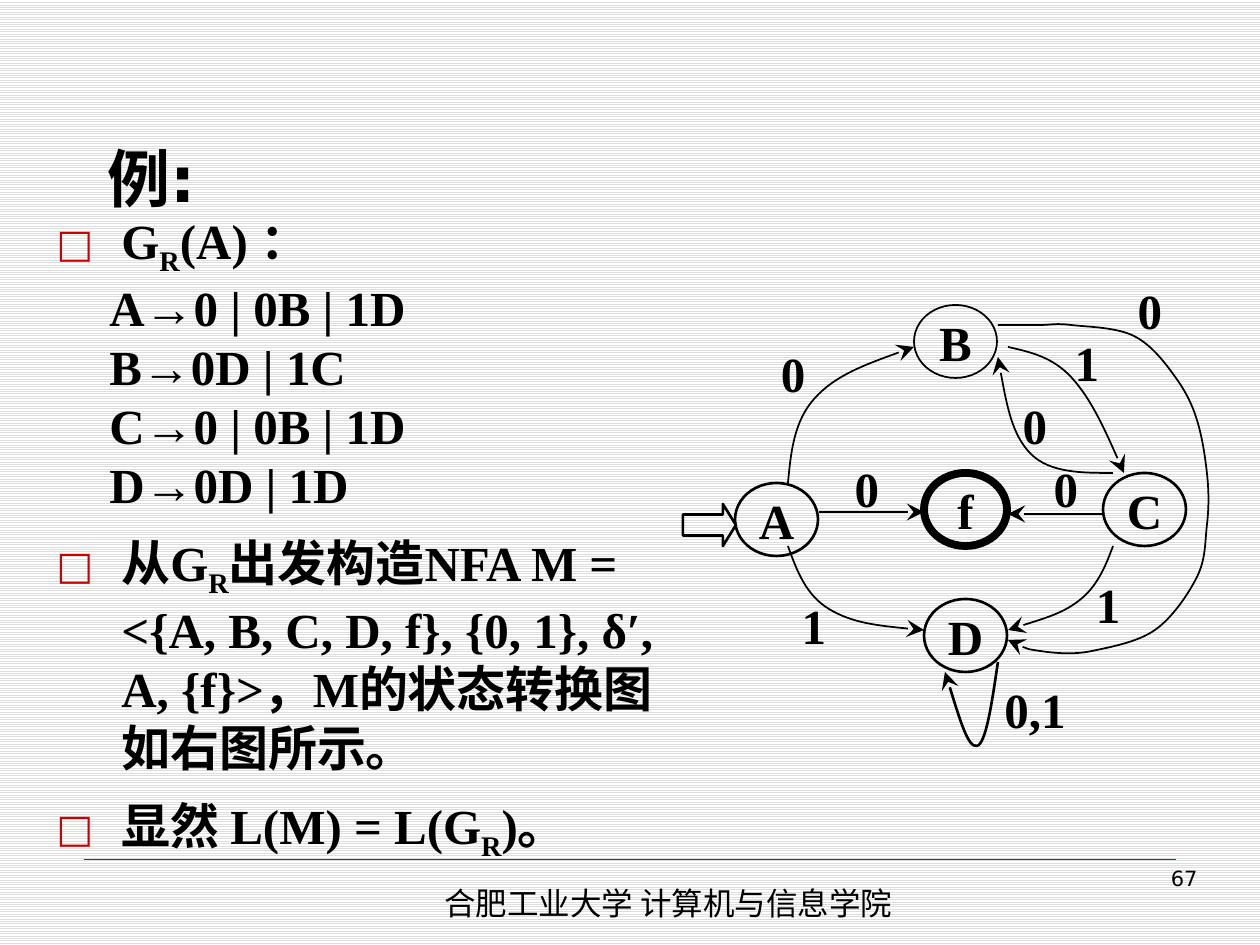
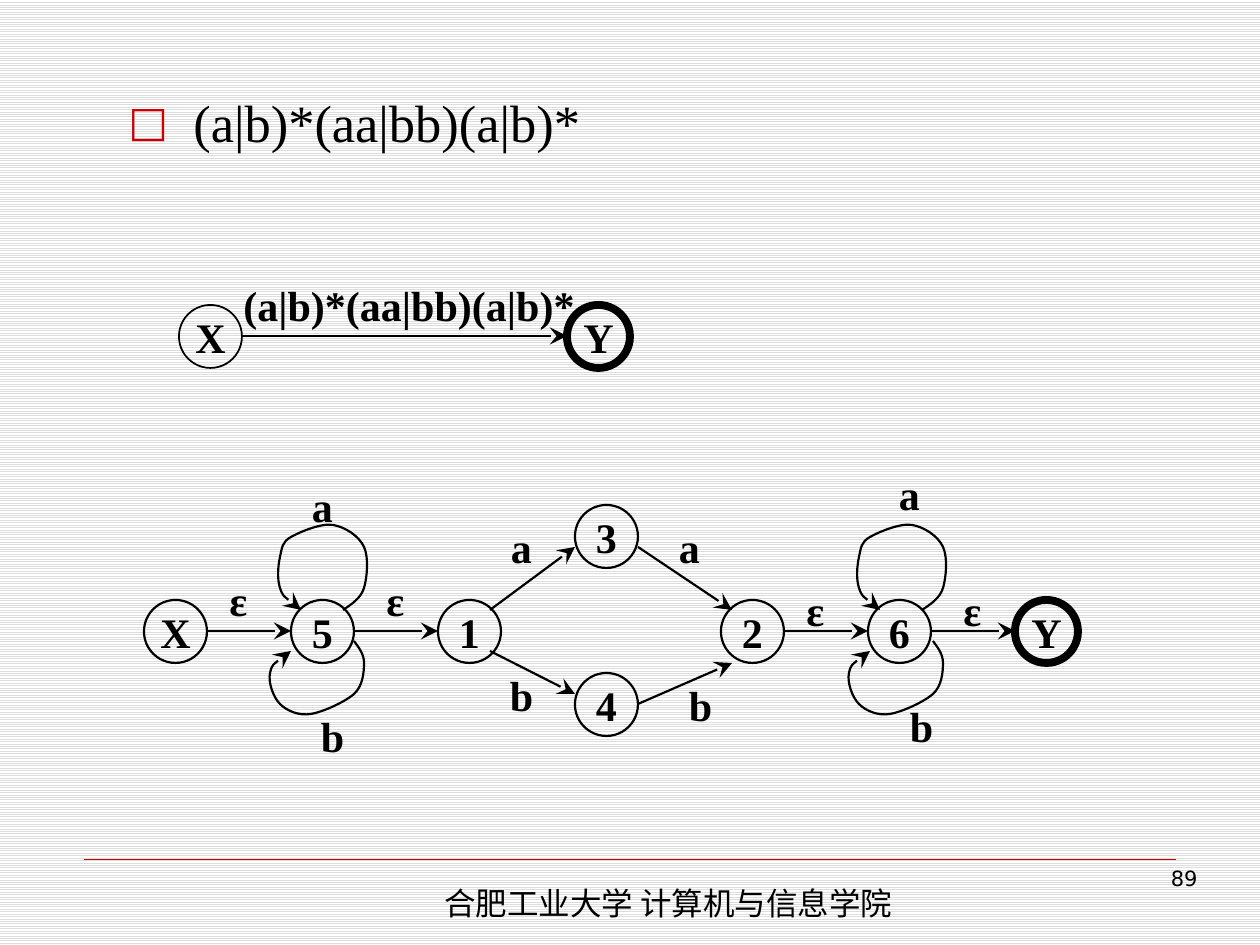
import lxml.etree
import pptx
import pptx.dml.color
import pptx.enum.dml
import pptx.enum.shapes
import pptx.enum.text
import pptx.oxml.ns
import pptx.util

EMU_PER_PX = 914400 / 126
COLORS = {"ink": "000000", "accent": "CC0000", "stripe": "DDDDDD", "paper": "FFFFFF"}
SERIF, SANS, CHINESE = "Times New Roman", "DejaVu Sans", "Noto Sans CJK SC"
ALIGN = pptx.enum.text.PP_ALIGN
ANCHOR = pptx.enum.text.MSO_ANCHOR
SHAPE = pptx.enum.shapes.MSO_SHAPE
qn = pptx.oxml.ns.qn


def px(length):
    return pptx.util.Emu(round(length * EMU_PER_PX))


def color(name):
    return pptx.dml.color.RGBColor.from_string(COLORS[name])


def add_xml(parent, tag, **attributes):
    return lxml.etree.SubElement(parent, qn(tag), **attributes)


# ---- text ----
def write_text(paragraph, text, size=28, font=SERIF, bold=False, align=ALIGN.LEFT,
               before=0, line_height=None, left=0, indent=0, bullet=None):
    """Fill a paragraph; pieces between underscores become subscripts."""
    paragraph.alignment = align
    if before:
        paragraph.space_before = px(before)
    if line_height:
        paragraph.line_spacing = px(line_height)
    if left:
        properties = paragraph._p.get_or_add_pPr()
        properties.set("marL", str(px(left)))
        properties.set("indent", str(px(indent)))
        if bullet:
            bullet_color = add_xml(properties, "a:buClr")
            add_xml(bullet_color, "a:srgbClr", val=COLORS["accent"])
            add_xml(properties, "a:buSzPct", val="80000")
            add_xml(properties, "a:buFont", typeface=SANS)
            add_xml(properties, "a:buChar", char=bullet)
    for number, piece in enumerate(text.split("_")):
        run = paragraph.add_run()
        run.text = piece
        run.font.size = pptx.util.Pt(size)
        run.font.bold = bold
        run.font.color.rgb = color("ink")
        run.font.name = font
        run_properties = run._r.get_or_add_rPr()
        add_xml(run_properties, "a:ea", typeface=CHINESE)
        if number % 2:
            run_properties.set("baseline", "-25000")


def add_text(shapes, box, text, anchor=ANCHOR.TOP, wrap=True, **text_format):
    text_box = shapes.add_textbox(*map(px, box))
    frame = text_box.text_frame
    frame.word_wrap = wrap
    frame.vertical_anchor = anchor
    write_text(frame.paragraphs[0], text, **text_format)
    return frame


# ---- lines and shapes ----
def style_line(shape, width, line_color="ink", arrow=False):
    shape.line.width = pptx.util.Pt(width)
    shape.line.color.rgb = color(line_color)
    if arrow:
        add_xml(shape.element.find(".//" + qn("a:ln")), "a:tailEnd", type="stealth",
                w="lg", len="lg")


def add_outline(shapes, preset, box, width):
    shape = shapes.add_shape(preset, *map(px, box))
    shape.shadow.inherit = False
    shape.fill.background()
    style_line(shape, width)
    return shape


def add_line(shapes, start, end, width, line_color="ink", arrow=True):
    line = shapes.add_connector(pptx.enum.shapes.MSO_CONNECTOR.STRAIGHT,
                                *map(px, (*start, *end)))
    style_line(line, width, line_color, arrow)
    add_xml(line.element.spPr, "a:effectLst")


def spline_points(anchors):
    """Control and end points of a smooth curve through the anchors."""
    slopes = [((after[0] - before[0]) / 6, (after[1] - before[1]) / 6)
              for before, after in zip(anchors, anchors[2:])]
    slopes = [None, *slopes, None]
    points = []
    for index, (start, end) in enumerate(zip(anchors, anchors[1:])):
        leaving, arriving = slopes[index], slopes[index + 1]
        control_out = leaving and (start[0] + leaving[0], start[1] + leaving[1])
        control_in = arriving and (end[0] - arriving[0], end[1] - arriving[1])
        if control_out is None:
            control_out = ((start[0] + control_in[0]) / 2, (start[1] + control_in[1]) / 2)
        if control_in is None:
            control_in = ((end[0] + control_out[0]) / 2, (end[1] + control_out[1]) / 2)
        points += [control_out, control_in, end]
    return [(round(x), round(y)) for x, y in points]


def add_curve(shapes, origin, anchors, width):
    builder = shapes.build_freeform(*anchors[0], scale=EMU_PER_PX)
    builder.add_line_segments(spline_points(anchors), close=False)
    curve = builder.convert_to_shape(*map(px, origin))
    outline = curve.element.find(".//" + qn("a:path"))
    steps = outline.findall(qn("a:lnTo"))
    for first in range(0, len(steps), 3):
        bezier = add_xml(outline, "a:cubicBezTo")
        for step in steps[first:first + 3]:
            bezier.append(step[0])
            outline.remove(step)
    curve.shadow.inherit = False
    curve.fill.background()
    style_line(curve, width, arrow=True)


# ---- automaton parts, placed from the origin of their diagram ----
class Diagram:
    def __init__(self, shapes, origin, node_size, label_size, text_size, width):
        self.shapes, self.origin = shapes, origin
        self.node_size, self.label_size = node_size, label_size
        self.text_size, self.width = text_size, width

    def at(self, x, y):
        return self.origin[0] + x, self.origin[1] + y

    def node(self, name, x, y, width=None):
        circle = add_outline(self.shapes, SHAPE.OVAL, (*self.at(x, y), *self.node_size),
                             width or self.width)
        frame = circle.text_frame
        frame.word_wrap = False
        frame.vertical_anchor = ANCHOR.MIDDLE
        write_text(frame.paragraphs[0], name, size=self.text_size, bold=True,
                   align=ALIGN.CENTER)

    def label(self, text, x, y):
        add_text(self.shapes, (*self.at(x, y), *self.label_size), text,
                 anchor=ANCHOR.MIDDLE, wrap=False, size=self.text_size, bold=True,
                 align=ALIGN.CENTER)

    def arrow(self, start, end):
        add_line(self.shapes, self.at(*start), self.at(*end), self.width)

    def curve(self, anchors, offset=(0, 0), width=None):
        add_curve(self.shapes, self.at(*offset), anchors, width or self.width)


FINAL_WIDTH = 4.5


def draw_grammar_automaton(shapes, origin):
    diagram = Diagram(shapes, origin, (83, 73), (116, 73), 28, 1)
    for name, x, y, width in [("A", 53, 210, 1.5), ("B", 232, 32, 1), ("C", 421, 200, 1.5),
                              ("D", 242, 326, 1.5), ("f", 242, 200, FINAL_WIDTH)]:
        diagram.node(name, x, y, width)
    # Start arrow
    start = add_outline(shapes, SHAPE.RIGHT_ARROW, (*diagram.at(1, 231), 53, 42), 1.5)
    start.adjustments[0], start.adjustments[1] = 0.5, 0.31
    # Transitions
    diagram.arrow((137, 239), (242, 239))
    diagram.arrow((421, 241), (326, 241))
    diagram.curve([(316, 389), (295, 473), (263, 399)], width=1.5)
    for anchors in [
        [(106, 210), (133, 125), (232, 74)],
        [(106, 273), (147, 336), (242, 357)],
        [(431, 200), (349, 181), (316, 84)],
        [(326, 74), (390, 105), (442, 200)],
        [(431, 273), (399, 326), (326, 357)],
        [(316, 52), (358, 52), (389, 52), (452, 63), (494, 105), (515, 147), (525, 200),
         (525, 252), (515, 304), (473, 357), (410, 378), (358, 378), (326, 367)],
    ]:
        diagram.curve(anchors)
    for text, x, y in [("1", 347, 52), ("0", 53, 63), ("0,1", 295, 399), ("1", 74, 315),
                       ("1", 368, 294), ("0", 295, 115), ("0", 410, 0), ("0", 127, 178),
                       ("0", 326, 178)]:
        diagram.label(text, x, y)


def draw_single_step(shapes, origin):
    diagram = Diagram(shapes, origin, (63, 63), (400, 63), 24, 1)
    diagram.node("X", 0, 32)
    diagram.node("Y", 388, 32, FINAL_WIDTH)
    diagram.arrow((63, 63), (388, 63))
    diagram.label("(a|b)*(aa|bb)(a|b)*", 30, 0)


def draw_expanded_automaton(shapes, origin):
    diagram = Diagram(shapes, origin, (63, 63), (63, 63), 24, 1.25)
    step, row = 147, 138
    # Main row: two runs of three states around the a/b branch
    for names, left in [("X51", 0), ("26Y", 577)]:
        for index, name in enumerate(names):
            x = left + index * step
            diagram.node(name, x, row, FINAL_WIDTH if name == "Y" else None)
            if index:
                diagram.arrow((x - step + 63, row + 31), (x, row + 31))
    diagram.node("3", 431, 43)
    diagram.node("4", 431, 211)
    for start, end in [((346, 148), (431, 85)), ((346, 189), (431, 232)),
                       ((494, 85), (588, 148)), ((494, 242), (588, 201))]:
        diagram.arrow(start, end)
    # Loops of states 5 and 6
    upper_loop = [(52, 10), (73, -12), (73, -53), (42, -75), (0, -63), (-11, -43),
                  (-11, -12), (10, 10)]
    lower_loop = [(63, 41), (73, 63), (63, 94), (20, 114), (-11, 104), (-21, 73), (0, 51)]
    for x in (147, 726):
        diagram.curve(upper_loop, (x, row))
        diagram.curve(lower_loop, (x, row))
    for text, x, y in [("ε", 63, 106), ("ε", 220, 106), ("ε", 640, 116), ("ε", 797, 116),
                       ("a", 147, 12), ("b", 157, 242), ("a", 734, 0), ("b", 746, 232),
                       ("a", 346, 53), ("b", 346, 201), ("a", 514, 53), ("b", 525, 211)]:
        diagram.label(text, x, y)


# ---- slides ----
BULLET = {"left": 65, "indent": -68, "bullet": "□"}


def add_base_slide(presentation, number):
    slide = presentation.slides.add_slide(presentation.slide_layouts[6])
    fill = slide.background.fill
    fill.patterned()
    fill.pattern = pptx.enum.dml.MSO_PATTERN.LIGHT_HORIZONTAL
    fill.fore_color.rgb = color("stripe")
    fill.back_color.rgb = color("paper")
    # Footer
    add_line(slide.shapes, (84, 859), (1176, 859), 0.25, "accent", arrow=False)
    add_text(slide.shapes, (432, 878, 595, 50), "合肥工业大学 计算机与信息学院",
             size=18, font=CHINESE)
    add_text(slide.shapes, (937, 859, 273, 66), number, size=12, font=SANS,
             align=ALIGN.RIGHT)
    return slide


def add_grammar_text(shapes, box):
    rule = {"left": 113, "indent": -60}
    lines = [
        ("G_R_(A) ：", BULLET),
        ("A→0 | 0B | 1D", rule),
        ("B→0D | 1C", rule),
        ("C→0 | 0B | 1D", rule),
        ("D→0D | 1D", rule),
        ("从G_R_出发构造NFA M = <{A, B, C, D, f}, {0, 1}, δ′, A, {f}>，M的状态转换图如右图所示。",
         {**BULLET, "before": 27}),
        ("显然 L(M) = L(G_R_)。", {**BULLET, "before": 27}),
    ]
    shared = {"bold": True, "line_height": 59}
    frame = add_text(shapes, box, lines[0][0], **shared, **lines[0][1])
    for text, text_format in lines[1:]:
        write_text(frame.add_paragraph(), text, **shared, **text_format)


def build_grammar_slide(presentation):
    shapes = add_base_slide(presentation, "67").shapes
    add_text(shapes, (95, 63, 1134, 158), "例:", anchor=ANCHOR.BOTTOM, size=36, font=SANS,
             bold=True)
    add_grammar_text(shapes, (44, 212, 651, 599))
    draw_grammar_automaton(shapes, (682, 273))


def build_expression_slide(presentation):
    shapes = add_base_slide(presentation, "89").shapes
    add_text(shapes, (116, 84, 1071, 84), "(a|b)*(aa|bb)(a|b)*", size=30, **BULLET)
    draw_single_step(shapes.add_group_shape().shapes, (179, 273))
    draw_expanded_automaton(shapes.add_group_shape().shapes, (144, 462))


def main():
    presentation = pptx.Presentation()
    presentation.slide_width, presentation.slide_height = px(1260), px(945)
    build_grammar_slide(presentation)
    build_expression_slide(presentation)
    presentation.save("out.pptx")


if __name__ == "__main__":
    main()
